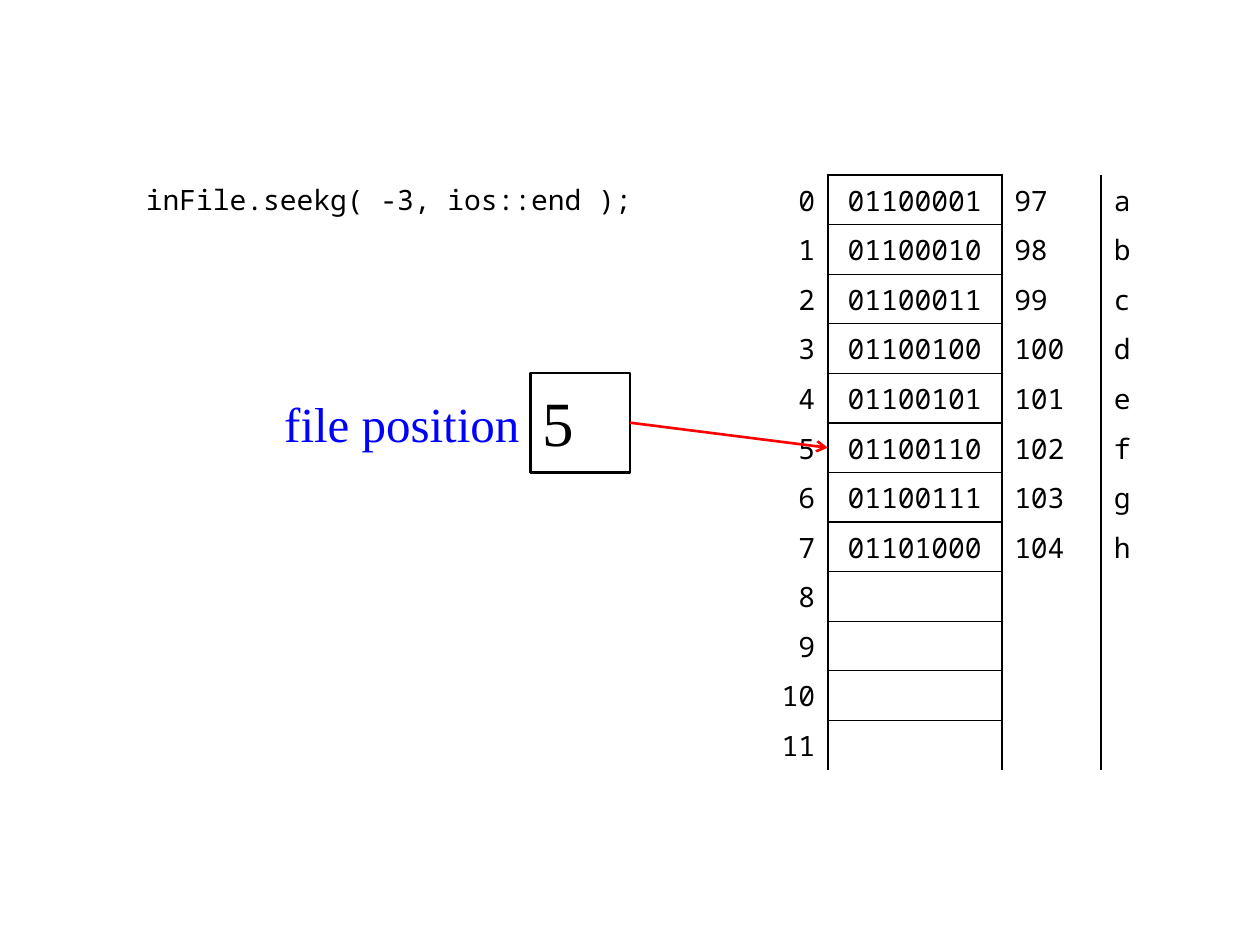
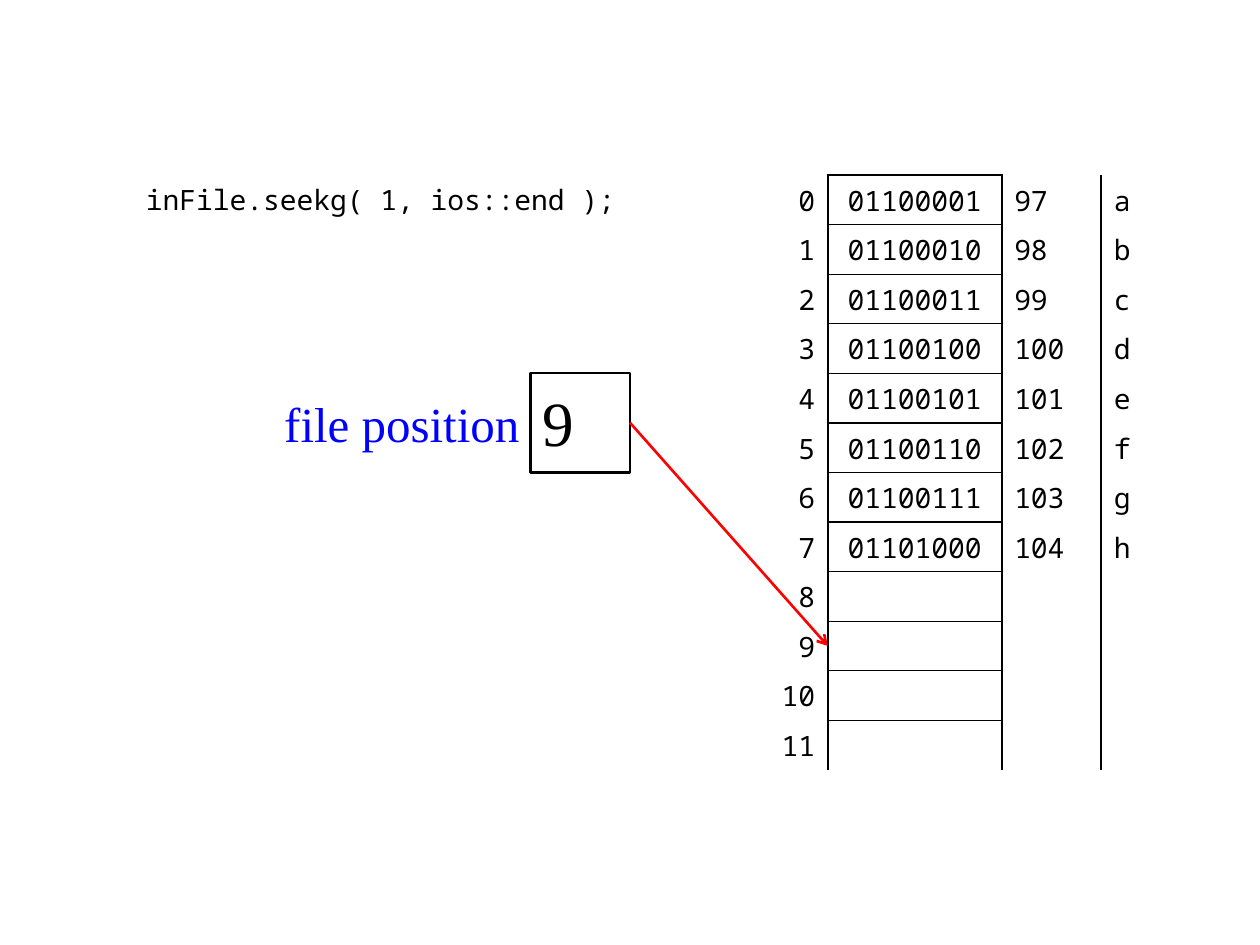
from lxml import etree
from pptx import Presentation
from pptx.dml.color import RGBColor
from pptx.enum.shapes import MSO_CONNECTOR, MSO_SHAPE
from pptx.enum.text import MSO_ANCHOR, PP_ALIGN
from pptx.oxml.ns import qn
from pptx.util import Inches, Pt

LEFT, CENTER, RIGHT = PP_ALIGN.LEFT, PP_ALIGN.CENTER, PP_ALIGN.RIGHT
MIDDLE = MSO_ANCHOR.MIDDLE
RECTANGLE = MSO_SHAPE.RECTANGLE
STRAIGHT = MSO_CONNECTOR.STRAIGHT

BLACK, WHITE, BLUE, RED = "000000", "FFFFFF", "0000FF", "FF0000"
MONO, SERIF = "Noto Sans Mono", "Times New Roman"
NO_STYLE = "{2D5ABB26-0587-4C30-8999-92F81FD0307C}"

THICK, THIN = 1.5, 0.75
TABLE_LEFT, TABLE_TOP, TABLE_HEIGHT = 5.98, 1.39, 4.72
COLUMN_WIDTHS = (0.59, 1.38, 0.79, 0.39)
COLUMN_ALIGNMENTS = (RIGHT, CENTER, LEFT, LEFT)
BYTE_COUNT = 12
ROW_HEIGHT = TABLE_HEIGHT / BYTE_COUNT
FILE_CONTENT = "abcdefgh"
BOX_TOP, BOX_SIZE = 2.96, 0.79

SEEKS = (
    ("inFile.seekg( -3, ios::end );", 5),
    ("inFile.seekg( 1, ios::end );", 9),
)


def color(value):
    return RGBColor.from_string(value)


def write(frame, text, font=MONO, size=16, ink=BLACK, align=LEFT):
    paragraph = frame.paragraphs[0]
    paragraph.alignment = align
    run = paragraph.add_run()
    run.text = text
    run.font.name = font
    run.font.size = Pt(size)
    run.font.color.rgb = color(ink)


def set_border(cell, side, width):
    properties = cell._tc.get_or_add_tcPr()
    line = etree.SubElement(properties, qn(f"a:ln{side}"), w=str(Pt(width)))
    fill = etree.SubElement(line, qn("a:solidFill"))
    etree.SubElement(fill, qn("a:srgbClr"), val=BLACK)


def byte_borders(row, column):
    if column == 0:
        return {"R": THICK}
    if column == 2:
        return {"L": THICK}
    if column == 3:
        return {}
    borders = {"L": THICK, "R": THICK, "T": THIN if row else THICK}
    if row < BYTE_COUNT - 1:
        borders["B"] = THIN
    return borders


def byte_texts(row):
    if row >= len(FILE_CONTENT):
        return str(row), "", "", ""
    letter = FILE_CONTENT[row]
    code = ord(letter)
    return str(row), f"{code:08b}", str(code), letter


class Deck:
    def __init__(self):
        self.presentation = Presentation()
        self.presentation.slide_width = Inches(10)
        self.presentation.slide_height = Inches(7.5)
        self.slide = None

    def add_slide(self):
        self.slide = self.presentation.slides.add_slide(self.presentation.slide_layouts[6])

    def add_text(self, text, left, top, width, height, **style):
        box = self.slide.shapes.add_textbox(
            Inches(left), Inches(top), Inches(width), Inches(height))
        box.text_frame.word_wrap = True
        box.text_frame.vertical_anchor = MIDDLE
        write(box.text_frame, text, **style)

    def add_box(self, text, left, top, side, **style):
        box = self.slide.shapes.add_shape(
            RECTANGLE, Inches(left), Inches(top), Inches(side), Inches(side))
        box.shadow.inherit = False
        box.fill.background()
        box.line.color.rgb = color(BLACK)
        box.line.width = Pt(THICK)
        frame = box.text_frame
        frame.word_wrap = True
        frame.vertical_anchor = MIDDLE
        frame.margin_top, frame.margin_bottom = 0, Inches(0.02)
        write(frame, text, **style)
        return box

    def add_byte_table(self):
        frame = self.slide.shapes.add_table(
            BYTE_COUNT, len(COLUMN_WIDTHS), Inches(TABLE_LEFT), Inches(TABLE_TOP),
            Inches(sum(COLUMN_WIDTHS)), Inches(TABLE_HEIGHT))
        table = frame.table
        table.first_row = table.horz_banding = False
        next(table._tbl.iter(qn("a:tableStyleId"))).text = NO_STYLE
        for column, width in enumerate(COLUMN_WIDTHS):
            table.columns[column].width = Inches(width)
        for row in range(BYTE_COUNT):
            table.rows[row].height = Inches(ROW_HEIGHT)
            for column, text in enumerate(byte_texts(row)):
                self.fill_cell(table.cell(row, column), row, column, text)

    def fill_cell(self, cell, row, column, text):
        for side, width in byte_borders(row, column).items():
            set_border(cell, side, width)
        cell.fill.solid()
        cell.fill.fore_color.rgb = color(WHITE)
        cell.vertical_anchor = MIDDLE
        if text:
            write(cell.text_frame, text, align=COLUMN_ALIGNMENTS[column])
        else:
            cell.margin_top = cell.margin_bottom = 0

    def add_arrow(self, box, end_left, end_top):
        arrow = self.slide.shapes.add_connector(
            STRAIGHT, box.left + box.width, box.top + box.height // 2,
            Inches(end_left), Inches(end_top))
        arrow.begin_connect(box, 3)
        arrow.line.color.rgb = color(RED)
        arrow.line.width = Pt(THICK)
        etree.SubElement(arrow.line._get_or_add_ln(), qn("a:tailEnd"), type="arrow")
        etree.SubElement(arrow._element.spPr, qn("a:effectLst"))

    def add_seek_slide(self, statement, position):
        self.add_slide()
        self.add_text(statement, 1.06, TABLE_TOP, 4.13, 0.39)
        self.add_text("file position", 0.87, BOX_TOP, 3.35, BOX_SIZE,
                      font=SERIF, size=28, ink=BLUE, align=RIGHT)
        self.add_byte_table()
        box = self.add_box(str(position), 4.21, BOX_TOP, BOX_SIZE, font=SERIF, size=36)
        self.add_arrow(box, TABLE_LEFT + COLUMN_WIDTHS[0],
                       TABLE_TOP + (position + 0.5) * ROW_HEIGHT)


def main():
    deck = Deck()
    for statement, position in SEEKS:
        deck.add_seek_slide(statement, position)
    deck.presentation.save("out.pptx")


if __name__ == "__main__":
    main()
